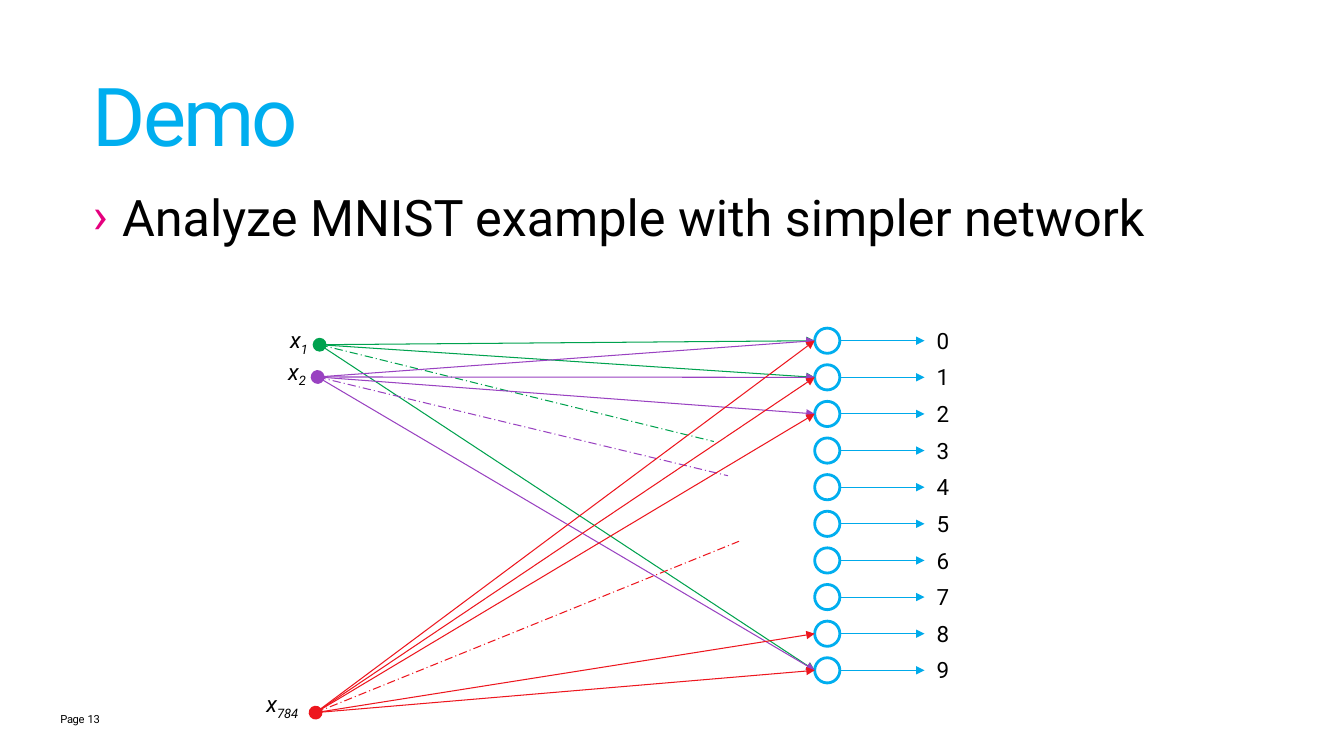
from dataclasses import dataclass

from lxml.etree import SubElement
from pptx import Presentation
from pptx.dml.color import RGBColor
from pptx.enum.dml import MSO_LINE
from pptx.enum.shapes import MSO_CONNECTOR, MSO_SHAPE
from pptx.enum.text import MSO_ANCHOR, MSO_AUTO_SIZE, PP_ALIGN
from pptx.oxml.ns import qn
from pptx.util import Inches, Pt


@dataclass(frozen=True)
class Theme:
    font: str = "Roboto"
    title: str = "00AEEF"
    text: str = "000000"
    bullet: str = "E5007E"
    neuron: str = "00AEEF"
    output: str = "00AAEA"
    green: str = "00A24F"
    purple: str = "9942C1"
    red: str = "ED161E"
    title_size: float = 58
    body_size: float = 36
    label_size: float = 16
    footer_size: float = 8
    neuron_line: float = 2
    thin_line: float = 0.75


THEME = Theme()
NEURON_LEFT = 8.08
NEURON_SIZE = 0.25
FIRST_NEURON_Y = 3.38
NEURON_PITCH = 3.27 / 9
DIGIT_COUNT = 10
OUTPUT_END = 9.17
LABEL_HEIGHT = 0.37

INPUTS = [
    ("1", (2.77, 3.19, 0.39), (3.17, 3.42), (0, 1, 9), (7.08, 4.38), THEME.green),
    ("2", (2.75, 3.5, 0.39), (3.15, 3.74), (0, 1, 2, 9), (7.22, 4.72), THEME.purple),
    ("784", (2.5, 6.8, 0.6), (3.13, 7.07), (0, 1, 2, 9, 8), (7.33, 5.37), THEME.red),
]


def neuron_y(digit):
    return FIRST_NEURON_Y + digit * NEURON_PITCH


def format_run(run, size, color, spacing=None):
    run.font.name = THEME.font
    run.font.size = Pt(size)
    run.font.color.rgb = RGBColor.from_string(color)
    if spacing is not None:
        run.font._element.set("spc", str(round(spacing * 100)))


def clear_margins(frame):
    frame.margin_left = frame.margin_right = 0
    frame.margin_top = frame.margin_bottom = 0


def place(placeholder, left, top, width, height):
    placeholder.left, placeholder.top = Inches(left), Inches(top)
    placeholder.width, placeholder.height = Inches(width), Inches(height)
    clear_margins(placeholder.text_frame)
    placeholder.text_frame.auto_size = MSO_AUTO_SIZE.NONE


def fill_title(title, text):
    place(title, 0.92, 0.36, 10.99, 1.25)
    title.text_frame.text = text
    title.text_frame.vertical_anchor = MSO_ANCHOR.BOTTOM
    paragraph = title.text_frame.paragraphs[0]
    paragraph.alignment = PP_ALIGN.LEFT
    paragraph.line_spacing = Pt(50)
    format_run(paragraph.runs[0], THEME.title_size, THEME.title, -2)


def fill_body(body, text):
    place(body, 0.92, 1.85, 10.99, 4.95)
    body.text_frame.text = text
    paragraph = body.text_frame.paragraphs[0]
    paragraph.space_before = Pt(12)
    properties = paragraph._p.get_or_add_pPr()
    properties.set("marL", str(Inches(0.29)))
    properties.set("indent", str(Inches(-0.29)))
    bullet_color = SubElement(properties, qn("a:buClr"))
    SubElement(bullet_color, qn("a:srgbClr"), val=THEME.bullet)
    SubElement(properties, qn("a:buFont"), typeface=THEME.font)
    SubElement(properties, qn("a:buChar"), char="›")
    format_run(paragraph.runs[0], THEME.body_size, THEME.text)


def add_footer(slide, left, width, text):
    footer = slide.shapes.add_textbox(Inches(left), Inches(7.07), Inches(width), Inches(0.34))
    clear_margins(footer.text_frame)
    footer.text_frame.text = text
    format_run(footer.text_frame.paragraphs[0].runs[0], THEME.footer_size, THEME.text, -0.3)


def add_label(slide, left, top, width, text, subscript=None):
    label = slide.shapes.add_textbox(
        Inches(left), Inches(top), Inches(width), Inches(LABEL_HEIGHT)
    )
    label.text_frame.word_wrap = False
    label.text_frame.text = text
    paragraph = label.text_frame.paragraphs[0]
    paragraph.alignment = PP_ALIGN.CENTER
    if subscript:
        index = paragraph.add_run()
        index.text = subscript
        index.font._element.set("baseline", "-25000")
    for run in paragraph.runs:
        format_run(run, THEME.label_size, THEME.text)
        run.font.italic = bool(subscript)


def add_line(slide, start, end, color, dot=False, arrow=True):
    line = slide.shapes.add_connector(
        MSO_CONNECTOR.STRAIGHT, *(Inches(value) for value in (*start, *end))
    )
    line.line.color.rgb = RGBColor.from_string(color)
    line.line.width = Pt(THEME.thin_line)
    if not arrow:
        line.line.dash_style = MSO_LINE.LONG_DASH_DOT
    outline = line.line._get_or_add_ln()
    if dot:
        SubElement(outline, qn("a:headEnd"), type="oval", w="lg", len="lg")
    if arrow:
        SubElement(outline, qn("a:tailEnd"), type="triangle")
    SubElement(line._element.spPr, qn("a:effectLst"))


def add_neuron(slide, digit):
    neuron = slide.shapes.add_shape(
        MSO_SHAPE.OVAL,
        Inches(NEURON_LEFT),
        Inches(neuron_y(digit) - NEURON_SIZE / 2),
        Inches(NEURON_SIZE),
        Inches(NEURON_SIZE),
    )
    neuron.shadow.inherit = False
    neuron.fill.background()
    neuron.line.color.rgb = RGBColor.from_string(THEME.neuron)
    neuron.line.width = Pt(THEME.neuron_line)


def add_output(slide, digit):
    y = neuron_y(digit)
    add_line(slide, (NEURON_LEFT + NEURON_SIZE, y), (OUTPUT_END, y), THEME.output)
    add_label(slide, 9.19, y - LABEL_HEIGHT / 2, 0.32, str(digit))


def add_input(slide, subscript, label_place, source, digits, dashed_end, color):
    for order, digit in enumerate(digits):
        add_line(slide, source, (NEURON_LEFT, neuron_y(digit)), color, dot=order == 0)
    add_line(slide, source, dashed_end, color, arrow=False)
    add_label(slide, *label_place, "x", subscript)


def main():
    presentation = Presentation()
    presentation.slide_width = Inches(13.33)
    presentation.slide_height = Inches(7.5)
    slide = presentation.slides.add_slide(presentation.slide_layouts[1])
    fill_title(slide.shapes.title, "Demo")
    fill_body(slide.placeholders[1], "Analyze MNIST example with simpler network")
    add_footer(slide, 0.6, 0.3, "Page")
    add_footer(slide, 0.87, 0.24, "13")
    for digit in range(DIGIT_COUNT):
        add_neuron(slide, digit)
        add_output(slide, digit)
    for network_input in INPUTS:
        add_input(slide, *network_input)
    presentation.save("out.pptx")


if __name__ == "__main__":
    main()
